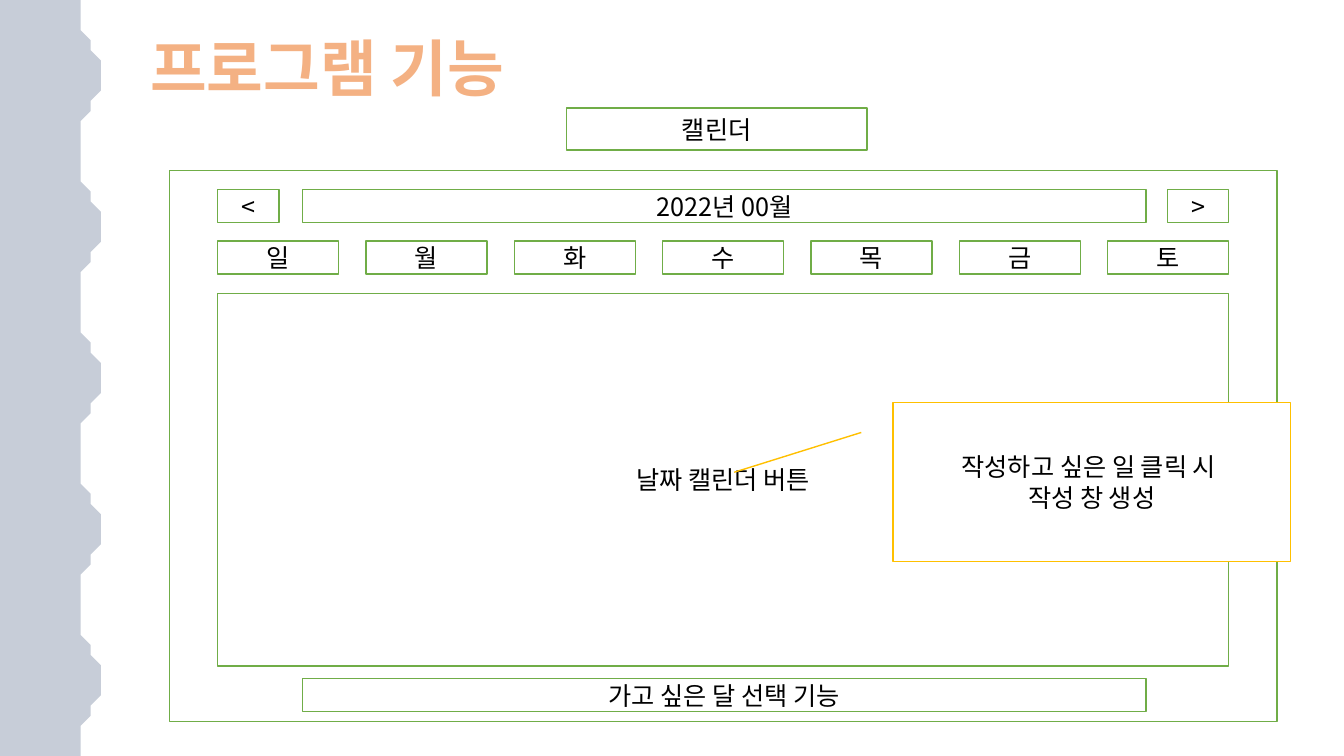
import math
from dataclasses import dataclass

import lxml.etree
import pptx
import pptx.dml.color
import pptx.enum.shapes
import pptx.enum.text
import pptx.oxml
import pptx.oxml.ns
import pptx.util

KIND = pptx.enum.shapes.MSO_SHAPE
ALIGN = pptx.enum.text.PP_ALIGN
ANCHOR = pptx.enum.text.MSO_ANCHOR
COLS, ROWS = 133.33, 75
CELL = pptx.util.Inches(0.1)


@dataclass(frozen=True)
class Theme:
    font: str = "Noto Sans CJK KR"
    head: int = 44
    body: int = 18
    line: int = 1
    ink: str = "000000"
    paper: str = "FFFFFF"
    green: str = "70AD47"
    gold: str = "FFC000"
    navy: str = "203864"
    veil: int = 25
    rim: str = "C55A11"
    glow: tuple = ((0, "ED7D31"), (4, "F4B183"), (87, "FBE5D6"))


THEME = Theme()


@dataclass(frozen=True)
class Box:
    x: float
    y: float
    w: float
    h: float

    def inner(self, x, y, w, h):
        return Box(self.x + x, self.y + y, w, h)

    def place(self):
        return [round(v * CELL) for v in (self.x, self.y, self.w, self.h)]


def color(code):
    return pptx.dml.color.RGBColor.from_string(code)


def paint(shape, code):
    shape.fill.solid()
    shape.fill.fore_color.rgb = color(code)
    shape.shadow.inherit = False


def style(run, size):
    run.font.size = pptx.util.Pt(size)
    run.font.name = THEME.font
    east = lxml.etree.SubElement(run.font._element, pptx.oxml.ns.qn("a:ea"))
    east.set("typeface", THEME.font)


def panel(slide, box, text="", edge=THEME.green, kind=KIND.RECTANGLE):
    shape = slide.shapes.add_shape(kind, *box.place())
    paint(shape, THEME.paper)
    shape.line.color.rgb = color(edge)
    shape.line.width = pptx.util.Pt(THEME.line)
    if text:
        frame = shape.text_frame
        frame.text = text
        frame.word_wrap = True
        frame.vertical_anchor = ANCHOR.MIDDLE
        for para in frame.paragraphs:
            para.alignment = ALIGN.CENTER
            for run in para.runs:
                run.font.color.rgb = color(THEME.ink)
                style(run, THEME.body)
    return shape


def title(slide, box, text):
    shape = slide.shapes.title
    shape.left, shape.top, shape.width, shape.height = box.place()
    frame = shape.text_frame
    frame.text = text
    frame.word_wrap = True
    frame.auto_size = pptx.enum.text.MSO_AUTO_SIZE.NONE
    frame.vertical_anchor = ANCHOR.TOP
    para = frame.paragraphs[0]
    para.alignment = ALIGN.LEFT
    para.line_spacing = 0.9
    run = para.runs[0]
    run.font.bold = True
    names = pptx.oxml.ns.nsdecls("a")
    stops = "".join(
        f'<a:gs pos="{spot * 1000}"><a:srgbClr val="{code}"/></a:gs>'
        for spot, code in THEME.glow)
    for xml in (
        f'<a:ln {names} w="{pptx.util.Pt(THEME.line)}"><a:solidFill>'
        f'<a:srgbClr val="{THEME.rim}"/></a:solidFill></a:ln>',
        f'<a:gradFill {names}><a:gsLst>{stops}</a:gsLst>'
        f'<a:lin ang="5400000" scaled="0"/></a:gradFill>',
    ):
        run.font._element.append(pptx.oxml.parse_xml(xml))
    style(run, THEME.head)


def wave(slide, box, waves=5, steps=24):
    swing = 0.95
    mid = box.w - swing
    edge = []
    for step in range(waves * steps + 1):
        turn = math.tau * step / steps
        bend = 0.12 * math.cos(3 * turn) - 1.12 * math.cos(turn)
        edge.append((box.x + mid + swing * bend,
                     box.y + box.h * step / (waves * steps)))
    for code, veil in ((THEME.paper, 100), (THEME.navy, THEME.veil)):
        pen = slide.shapes.build_freeform(box.x, box.y, scale=CELL)
        pen.add_line_segments(edge + [(box.x, box.y + box.h)], close=True)
        shape = pen.convert_to_shape()
        paint(shape, code)
        shape.line.fill.background()
        if veil < 100:
            tint = shape._element.spPr.find(".//" + pptx.oxml.ns.qn("a:srgbClr"))
            alpha = lxml.etree.SubElement(tint, pptx.oxml.ns.qn("a:alpha"))
            alpha.set("val", str(veil * 1000))


def month(slide, box):
    pad, tall, small, day = 4.8, 3.3, 6.1, 12
    wide = box.w - 2 * pad
    inset = 13.2
    bar = box.w - 2 * inset + 0.2
    top = 1.9
    panel(slide, box)
    panel(slide, box.inner(pad, 12.2, wide, 37), "날짜 캘린더 버튼")
    panel(slide, box.inner(inset, top, bar, tall), "2022년 00월")
    panel(slide, box.inner(pad + wide - small, top, small, tall), ">")
    panel(slide, box.inner(pad, top, small, tall), "<")
    days = "일월화수목금토"
    pitch = (wide - day) / (len(days) - 1)
    for col, name in enumerate(days):
        panel(slide, box.inner(pad + col * pitch, 7, day, tall), name)
    panel(slide, box.inner(inset, 50.4, bar, tall), "가고 싶은 달 선택 기능")


def callout(slide, box):
    shape = panel(slide, box, "작성하고 싶은 일 클릭 시 \n작성 창 생성",
                  THEME.gold, KIND.LINE_CALLOUT_1)
    for spot, share in enumerate((0.19, -0.08, 0.44, -0.4)):
        shape.adjustments[spot] = share


def main():
    deck = pptx.Presentation()
    deck.slide_width = round(COLS * CELL)
    deck.slide_height = ROWS * CELL
    slide = deck.slides.add_slide(deck.slide_layouts[5])
    title(slide, Box(13.9, 3.3, 111, 16.3), "프로그램 기능")
    wave(slide, Box(0, 0, 9.7, ROWS))
    month(slide, Box(16.8, 16.9, 109.9, 54.7))
    panel(slide, Box(56.2, 10.7, 29.8, 4.2), "캘린더")
    callout(slide, Box(88.6, 39.9, 39.4, 15.8))
    deck.save("out.pptx")


if __name__ == "__main__":
    main()
